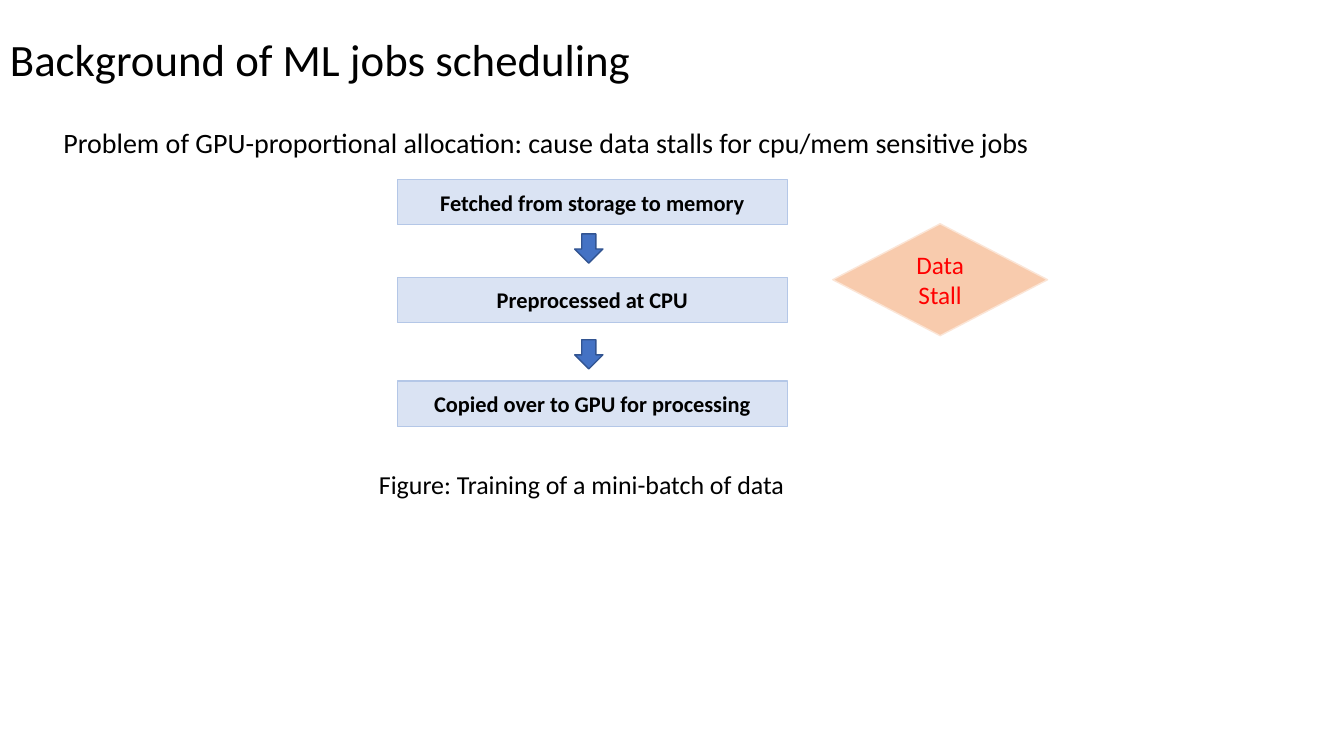
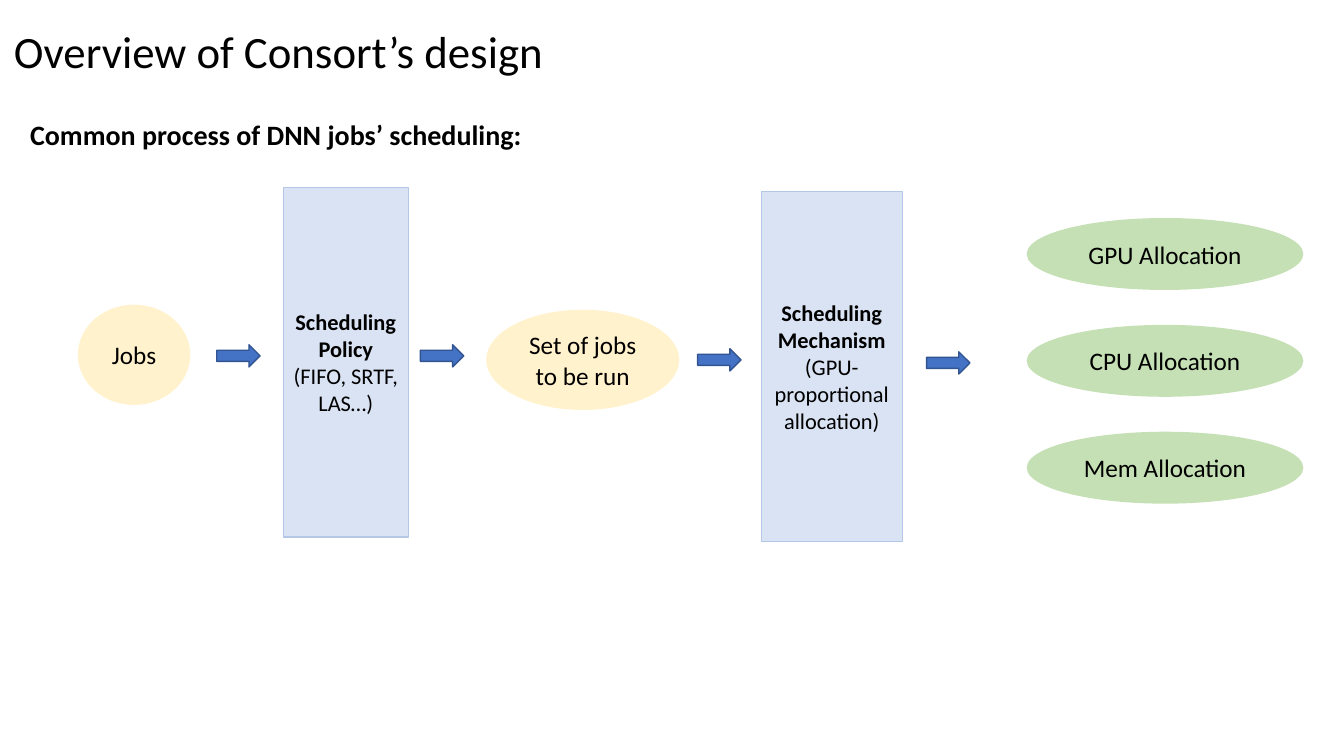
from pptx import Presentation
from pptx.dml.color import RGBColor as Rgb
from pptx.enum.shapes import MSO_SHAPE as Form
from pptx.enum.text import MSO_ANCHOR as Anchor, PP_ALIGN as Align
from pptx.util import Inches, Pt

HUES = {
    "black": "000000", "red": "FF0000",
    "pale": "DAE3F3", "edge": "B4C7E7",
    "blue": "4472C4", "navy": "325491",
    "peach": "F8CBAD", "blush": "FBE5D6",
    "cream": "FFF2CC", "green": "C5E0B4",
}


class Deck:
    """Holds the shared style and the current slide."""

    font = "Calibri"

    def __init__(self):
        self.show = Presentation()
        self.show.slide_width = Inches(13.33)
        self.show.slide_height = Inches(7.5)
        self.slide = None

    def hue(self, name):
        return Rgb.from_string(HUES[name])

    def start(self, title, left, top):
        self.slide = self.show.slides.add_slide(self.show.slide_layouts[6])
        self.label(title, left, top, 10.39, 1.22, 32)

    def style(self, para, text, size, hue="black", bold=False):
        para.text = text
        font = para.font
        font.name, font.size, font.bold = self.font, Pt(size), bold
        font.color.rgb = self.hue(hue)

    def label(self, text, left, top, width, height, size, bold=False):
        box = self.slide.shapes.add_textbox(*map(Inches, (left, top, width, height)))
        frame = box.text_frame
        frame.word_wrap = True
        frame.vertical_anchor = Anchor.MIDDLE
        para = frame.paragraphs[0]
        para.line_spacing = 0.9
        self.style(para, text, size, bold=bold)

    def shape(self, form, left, top, width, height, fill, line):
        item = self.slide.shapes.add_shape(form, *map(Inches, (left, top, width, height)))
        item.shadow.inherit = False
        item.fill.solid()
        item.fill.fore_color.rgb = self.hue(fill)
        item.line.color.rgb = self.hue(line)
        item.line.width = Pt(1)
        return item

    def node(self, form, text, left, top, width, height, fill, line, size=18, hue="black", bold=False):
        item = self.shape(form, left, top, width, height, fill, line)
        frame = item.text_frame
        frame.word_wrap = True
        frame.vertical_anchor = Anchor.MIDDLE
        para = frame.paragraphs[0]
        para.alignment = Align.CENTER
        self.style(para, text, size, hue, bold)
        return frame

    def step(self, text, left, top, width, height):
        return self.node(Form.RECTANGLE, text, left, top, width, height, "pale", "edge", 16, bold=True)

    def stage(self, head, note, left, top, width):
        frame = self.step(head, left, top, width, 3.47)
        para = frame.add_paragraph()
        para.alignment = Align.CENTER
        self.style(para, note, 16)

    def oval(self, text, left, top, width, height, fill):
        self.node(Form.OVAL, text, left, top, width, height, fill, fill)

    def down(self, left, top):
        self.shape(Form.DOWN_ARROW, left, top, 0.28, 0.29, "blue", "navy")

    def right(self, left, top):
        self.shape(Form.RIGHT_ARROW, left, top, 0.43, 0.22, "blue", "navy")


def stalls(deck):
    deck.start("Background of ML jobs scheduling", 0, 0)
    deck.label("Problem of GPU-proportional allocation: cause data stalls for cpu/mem sensitive jobs",
               0.53, 1.12, 10.8, 0.62, 20)
    steps = (("Fetched from storage to memory", 1.78),
             ("Preprocessed at CPU", 2.75),
             ("Copied over to GPU for processing", 3.78))
    for text, top in steps:
        deck.step(text, 3.94, top, 3.87, 0.45)
    for top in (2.32, 3.37):
        deck.down(5.7, top)
    deck.label("Figure: Training of a mini-batch of data", 3.66, 4.51, 4.32, 0.62, 18.5)
    deck.node(Form.DIAMOND, "Data Stall", 8.26, 2.22, 2.13, 1.11, "peach", "blush", hue="red")


def design(deck):
    deck.start("Overview of Consort’s design", 0.04, -0.07)
    deck.label("Common process of DNN jobs’ scheduling:", 0.2, 1.04, 7.16, 0.62, 20, True)
    deck.oval("Jobs", 0.78, 3.03, 1.1, 0.98, "cream")
    deck.stage("Scheduling Policy", "(FIFO, SRTF, LAS…)", 2.81, 1.86, 1.24)
    deck.oval("Set of jobs to be run", 4.83, 3.08, 1.9, 0.98, "cream")
    deck.stage("Scheduling Mechanism", "(GPU-proportional allocation)", 7.55, 1.9, 1.4)
    for left, top in ((2.15, 3.42), (4.17, 3.42), (6.92, 3.46), (9.19, 3.49)):
        deck.right(left, top)
    for row, kind in enumerate(("GPU", "CPU", "Mem")):
        deck.oval(f"{kind} Allocation", 10.19, 2.17 + row * 1.06, 2.73, 0.7, "green")


def main():
    deck = Deck()
    stalls(deck)
    design(deck)
    deck.show.save("out.pptx")


if __name__ == "__main__":
    main()
